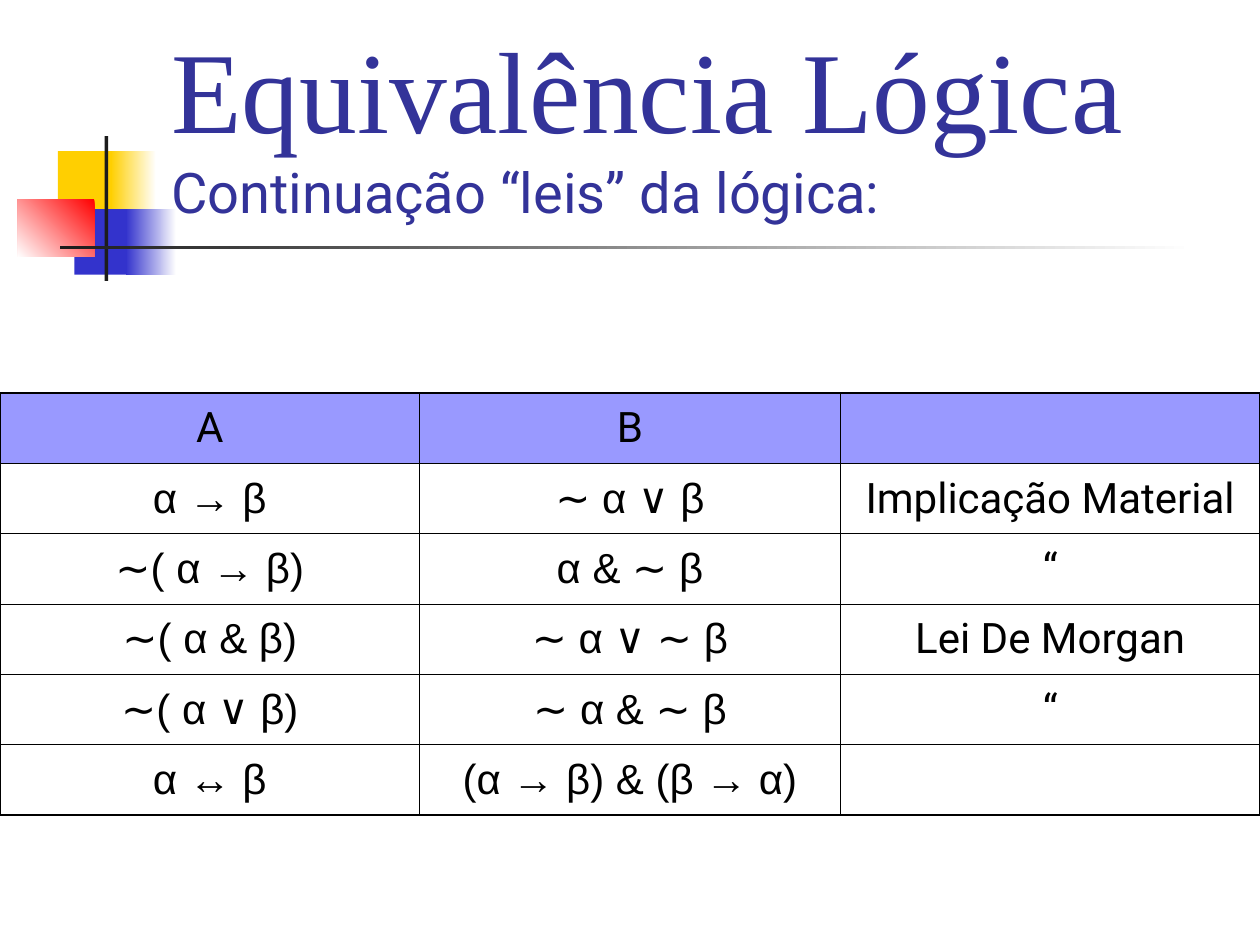
from lxml.etree import SubElement
from pptx import Presentation
from pptx.dml.color import RGBColor
from pptx.enum.shapes import MSO_SHAPE as Shape
from pptx.enum.text import MSO_ANCHOR as Anchor, PP_ALIGN as Align
from pptx.oxml.ns import qn
from pptx.util import Inches, Pt

WHITE = RGBColor(0xFF, 0xFF, 0xFF)
BLACK = RGBColor(0, 0, 0)
CHARCOAL = RGBColor(0x1C, 0x1C, 0x1C)
YELLOW = RGBColor(0xFF, 0xCF, 0x01)
RED = RGBColor(0xFF, 0, 0)
BLUE = RGBColor(0x33, 0x33, 0xCC)
INDIGO = RGBColor(0x33, 0x33, 0x99)
LAVENDER = RGBColor(0x99, 0x99, 0xFF)

ORNAMENT = [
    ((0.46, 1.2, 0.48, 0.52), (YELLOW,), 0),
    ((0.88, 1.2, 0.36, 0.52), (WHITE, YELLOW), 180),
    ((0.59, 1.66, 0.46, 0.52), (BLUE,), 0),
    ((1, 1.66, 0.4, 0.52), (WHITE, BLUE), 180),
    ((0.14, 1.58, 0.61, 0.46), (RED, WHITE), 225),
    ((0.83, 1.08, 0.03, 1.15), (CHARCOAL,), 0),
    ((0.48, 1.95, 9, 0.03), (WHITE, CHARCOAL), 180),
]
TITLE = [
    ("Equivalência Lógica", "Times New Roman", 66),
    (" ", "Times New Roman", 54),
    ("Continuação “leis” da lógica:", "Roboto", 32),
]
LAWS = [
    ("A", "B", ""),
    ("α → β", "∼ α ∨ β", "Implicação Material"),
    ("∼( α → β)", "α & ∼ β", "“"),
    ("∼( α & β)", "∼ α ∨ ∼ β", "Lei De Morgan"),
    ("∼( α ∨ β)", "∼ α & ∼ β", "“"),
    ("α ↔ β", "(α → β) & (β → α)", ""),
]


def add_span(para, text, font, size, color):
    """Append one formatted run to a paragraph."""
    span = para.add_run()
    span.text = text
    for name, value in {"name": font, "size": Pt(size)}.items():
        setattr(span.font, name, value)
    span.font.color.rgb = color


def add_ornament(page, parts):
    """Draw the coloured squares and the crossing rules."""
    for box, colors, angle in parts:
        block = page.shapes.add_shape(Shape.RECTANGLE, *map(Inches, box))
        block.shadow.inherit = False
        block.line.fill.background()
        if len(colors) == 1:
            block.fill.solid()
            block.fill.fore_color.rgb = colors[0]
            continue
        block.fill.gradient()
        block.fill.gradient_angle = angle
        for stop, color in zip(block.fill.gradient_stops, colors):
            stop.color.rgb = color


def add_title(page, box, spans):
    """Place the title and its subtitle at the bottom of the box."""
    frame = page.shapes.add_textbox(*map(Inches, box)).text_frame
    frame.word_wrap = True
    frame.vertical_anchor = Anchor.BOTTOM
    for text, font, size in spans:
        add_span(frame.paragraphs[0], text, font, size, INDIGO)


def set_borders(cell, outer_sides):
    """Rule a cell, with heavier lines on the outer edges of the table."""
    properties = cell._tc.get_or_add_tcPr()
    for side in "LRTB":
        width = Pt(1.08 if side in outer_sides else 0.45)
        line = SubElement(properties, qn(f"a:ln{side}"), w=str(width))
        fill = SubElement(line, qn("a:solidFill"))
        SubElement(fill, qn("a:srgbClr"), val=str(BLACK))


def add_laws(page, box, rows):
    """Build the table of equivalences."""
    last_row, last_column = len(rows) - 1, len(rows[0]) - 1
    table = page.shapes.add_table(len(rows), len(rows[0]), *map(Inches, box)).table
    table.first_row = table.horz_banding = False
    for column, width in zip(table.columns, (3.33, 3.34, 3.33)):
        column.width = Inches(width)
    for r, texts in enumerate(rows):
        for c, text in enumerate(texts):
            cell = table.cell(r, c)
            edges = {"L": c == 0, "R": c == last_column, "T": r == 0, "B": r == last_row}
            set_borders(cell, [side for side, outer in edges.items() if outer])
            if r == 0:
                cell.fill.solid()
                cell.fill.fore_color.rgb = LAVENDER
            else:
                cell.fill.background()
            cell.vertical_anchor = Anchor.MIDDLE
            para = cell.text_frame.paragraphs[0]
            for name, value in {"alignment": Align.CENTER, "space_before": Pt(6)}.items():
                setattr(para, name, value)
            if text:
                font = "Roboto" if r == 0 or c == last_column else "Arial"
                add_span(para, text, font, 24, BLACK)


def main():
    """Create the deck with its single slide."""
    deck = Presentation()
    deck.slide_width, deck.slide_height = Inches(10), Inches(7.5)
    page = deck.slides.add_slide(deck.slide_layouts[6])
    add_ornament(page, ORNAMENT)
    add_title(page, (1.26, 0.23, 8.52, 1.6), TITLE)
    add_laws(page, (0, 3.12, 10, 3.35), LAWS)
    deck.save("out.pptx")


if __name__ == "__main__":
    main()
